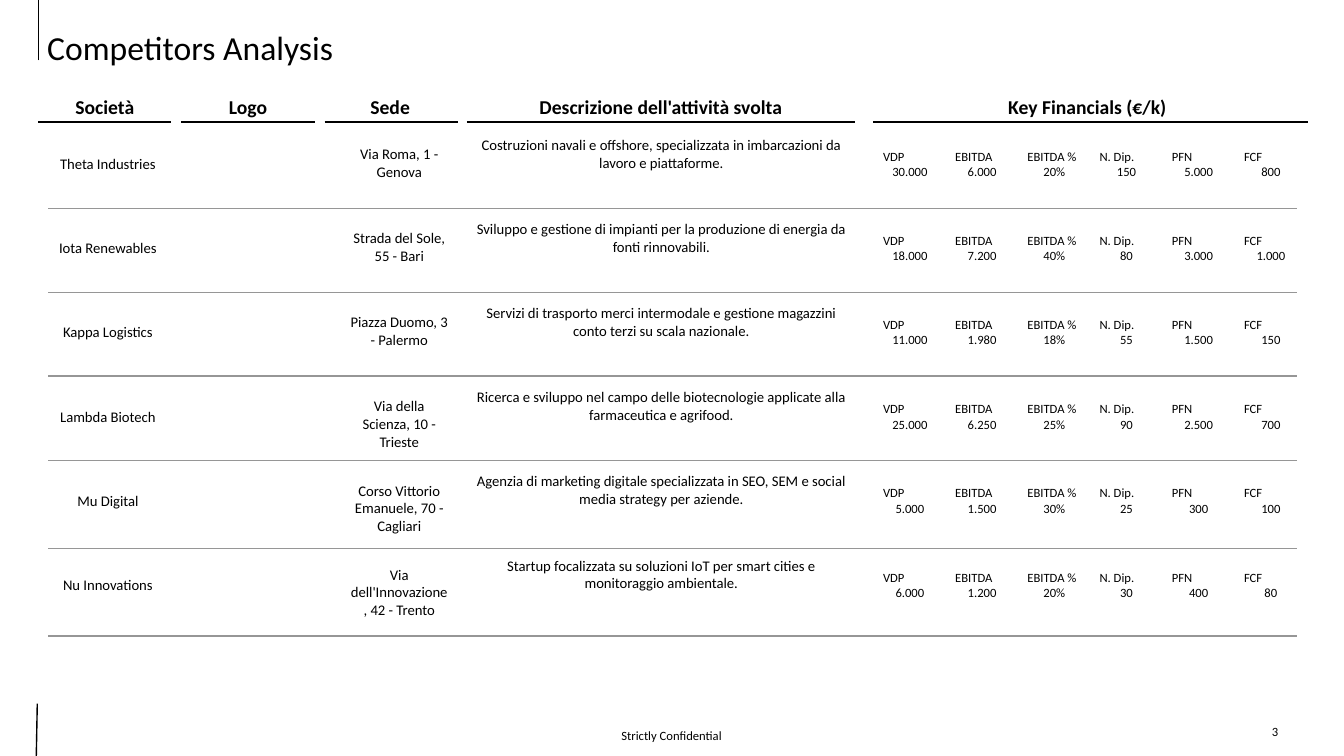
"""Build the competitors analysis slide."""
import pptx
import pptx.dml.color
import pptx.enum.shapes
import pptx.enum.text
import pptx.oxml
import pptx.oxml.ns
import pptx.util

Inches = pptx.util.Inches
ALIGN = pptx.enum.text.PP_ALIGN
ANCHOR = pptx.enum.text.MSO_ANCHOR
BLACK = pptx.dml.color.RGBColor(0x00, 0x00, 0x00)
GREY = pptx.dml.color.RGBColor(0x96, 0x96, 0x96)

TITLE = "Competitors Analysis"
FOOTER = "Strictly Confidential"
PAGE_NUMBER = "3"

# heading, text left, text width, rule start, rule end
HEADINGS = [
    ("Società", 0.43, 1.22, 0.38, 1.70),
    ("Logo", 1.85, 1.22, 1.80, 3.12),
    ("Sede", 3.26, 1.22, 3.22, 4.54),
    ("Descrizione dell'attività svolta", 5.16, 2.79, 4.63, 8.48),
    ("Key Financials (€/k)", 9.59, 2.39, 8.66, 12.97),
]
METRICS = ["VDP", "EBITDA", "EBITDA %", "N. Dip.", "PFN", "FCF"]
COMPANIES = [
    ("Theta Industries", "Via Roma, 1 - Genova",
     "Costruzioni navali e offshore, specializzata in imbarcazioni da lavoro e piattaforme.",
     ["30.000", "6.000", "20%", "150", "5.000", "800"]),
    ("Iota Renewables", "Strada del Sole, 55 - Bari",
     "Sviluppo e gestione di impianti per la produzione di energia da fonti rinnovabili.",
     ["18.000", "7.200", "40%", "80", "3.000", "1.000"]),
    ("Kappa Logistics", "Piazza Duomo, 3 - Palermo",
     "Servizi di trasporto merci intermodale e gestione magazzini conto terzi su scala nazionale.",
     ["11.000", "1.980", "18%", "55", "1.500", "150"]),
    ("Lambda Biotech", "Via della Scienza, 10 - Trieste",
     "Ricerca e sviluppo nel campo delle biotecnologie applicate alla farmaceutica e agrifood.",
     ["25.000", "6.250", "25%", "90", "2.500", "700"]),
    ("Mu Digital", "Corso Vittorio Emanuele, 70 - Cagliari",
     "Agenzia di marketing digitale specializzata in SEO, SEM e social media strategy per aziende.",
     ["5.000", "1.500", "30%", "25", "300", "100"]),
    ("Nu Innovations", "Via dell'Innovazione, 42 - Trento",
     "Startup focalizzata su soluzioni IoT per smart cities e monitoraggio ambientale.",
     ["6.000", "1.200", "20%", "30", "400", "80"]),
]
ROW_RULES = [2.07, 2.90, 3.73, 4.57, 5.44, 6.31]
MARGIN_RULES = [(0.36, 7.5, 0.37, 6.98), (0.38, 0.6, 0.38, 0)]
HEADING_RULE_TOP = 1.21
ROW_PITCH = (5.66 - 1.49) / (len(COMPANIES) - 1)
METRIC_PITCH = (12.24 - 8.66) / (len(METRICS) - 1)


def add_text(page, place, lines, size, bold=False, anchor=ANCHOR.TOP):
    """Add a text box holding (text, alignment) lines."""
    box = page.shapes.add_textbox(*map(Inches, place))
    frame = box.text_frame
    frame.word_wrap = True
    frame.vertical_anchor = anchor
    font_format = {"name": "Calibri", "size": pptx.util.Pt(size), "bold": bold}
    for index, (text, alignment) in enumerate(lines):
        para = frame.add_paragraph() if index else frame.paragraphs[0]
        para.alignment = alignment
        span = para.add_run()
        span.text = text
        for name, value in font_format.items():
            setattr(span.font, name, value)
        span.font.color.rgb = BLACK


def add_rule(page, ends, color, width):
    """Add a straight line without shadow."""
    rule = page.shapes.add_connector(
        pptx.enum.shapes.MSO_CONNECTOR.STRAIGHT, *map(Inches, ends))
    rule.line.color.rgb = color
    rule.line.width = pptx.util.Pt(width)
    properties = rule._element.spPr
    properties.append(properties.makeelement(pptx.oxml.ns.qn("a:effectLst"), {}))


def add_company(page, top, company):
    """Add one company row, its name starting at the given top."""
    name, address, activity, values = company
    cells = [
        (name, 0.48, top, 1.18, 0.28),
        (address, 3.37, top - 0.10, 1.18, 0.45),
        (activity, 4.63, top - 0.19, 3.86, 0.28),
    ]
    for text, *place in cells:
        add_text(page, place, [(text, ALIGN.CENTER)], 10.5)
    for column, (metric, value) in enumerate(zip(METRICS, values)):
        place = (8.66 + column * METRIC_PITCH, top - 0.06, 0.73, 0.4)
        add_text(page, place, [(metric, ALIGN.LEFT), (value, ALIGN.CENTER)], 9)


def main():
    """Compose and save the deck."""
    deck = pptx.Presentation()
    deck.slide_width, deck.slide_height = Inches(13.33), Inches(7.5)
    page = deck.slides.add_slide(deck.slide_layouts[6])

    add_text(page, (4.74, 7.1, 3.84, 0.4), [(FOOTER, ALIGN.CENTER)], 9, anchor=ANCHOR.MIDDLE)
    add_text(page, (12.32, 7.13, 0.65, 0.4), [(PAGE_NUMBER, ALIGN.CENTER)], 9)
    for ends in MARGIN_RULES:
        add_rule(page, ends, BLACK, 1)
    add_text(page, (0.37, 0.22, 11.65, 0.4), [(TITLE, ALIGN.LEFT)], 24)

    for heading, left, width, start, end in HEADINGS:
        add_text(page, (left, 0.89, width, 0.33), [(heading, ALIGN.CENTER)], 14, bold=True)
        add_rule(page, (start, HEADING_RULE_TOP, end, HEADING_RULE_TOP), BLACK, 2)
    for row, (company, rule_top) in enumerate(zip(COMPANIES, ROW_RULES)):
        add_rule(page, (0.48, rule_top, 12.86, rule_top), GREY, 1)
        add_company(page, 1.49 + row * ROW_PITCH, company)

    deck.save("out.pptx")


if __name__ == "__main__":
    main()
